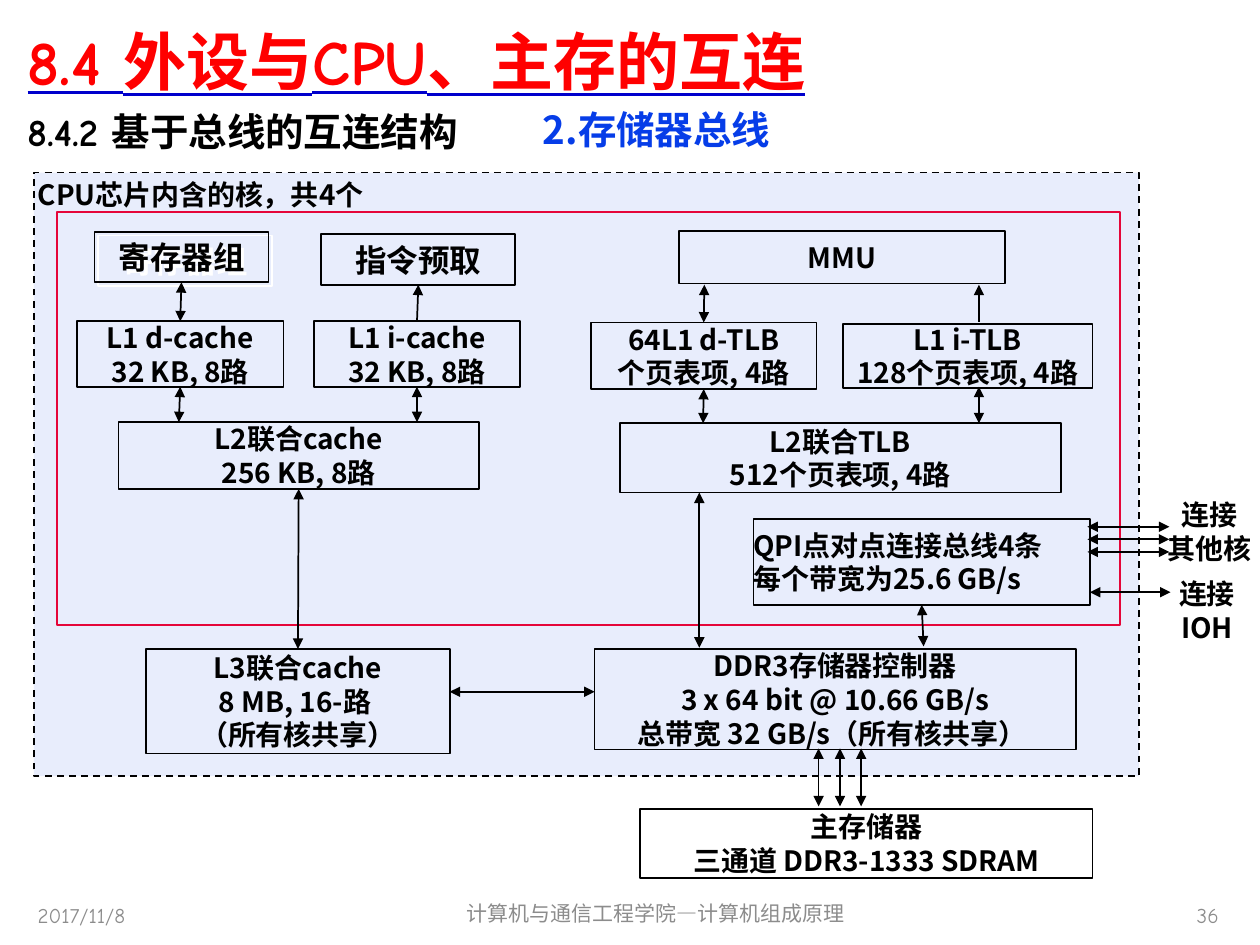
from dataclasses import dataclass
from typing import NamedTuple, Optional

from lxml.etree import SubElement
from pptx import Presentation
from pptx.dml.color import RGBColor
from pptx.enum.dml import MSO_LINE
from pptx.enum.shapes import MSO_CONNECTOR, MSO_SHAPE
from pptx.enum.text import MSO_ANCHOR, PP_ALIGN
from pptx.oxml import parse_xml
from pptx.oxml.ns import qn
from pptx.util import Pt


@dataclass(frozen=True)
class Theme:
    title_font: str = "Comic Neue"
    body_font: str = "Noto Sans CJK SC"
    black: str = "000000"
    red: str = "FF0000"
    frame: str = "FC0128"
    blue: str = "063DE8"
    underline: str = "0000CC"
    grey: str = "8C8C8C"
    white: str = "FFFFFF"
    title_size: int = 36
    heading_size: int = 22
    large_size: int = 18
    box_size: int = 16
    footer_size: int = 12


THEME = Theme()
TOP, BOTTOM = 0, 2
DRAWING = "http://schemas.openxmlformats.org/drawingml/2006/main"


class Area(NamedTuple):
    left: float
    top: float
    width: float
    height: float


class Block(NamedTuple):
    name: str
    area: Area
    text: str
    size: int = THEME.box_size
    align: PP_ALIGN = PP_ALIGN.CENTER


class Label(NamedTuple):
    text: str
    area: Area
    size: int
    color: str = THEME.black
    font: str = THEME.body_font
    bold: bool = True
    align: PP_ALIGN = PP_ALIGN.LEFT
    anchor: MSO_ANCHOR = MSO_ANCHOR.TOP
    side_inset: float = 7.2


class Arrow(NamedTuple):
    start: tuple[float, float]
    end: tuple[float, float]
    start_block: Optional[str] = None  # joined at its bottom
    end_block: Optional[str] = None  # joined at its top
    both_ways: bool = True


BLOCKS = [
    Block("registers", Area(54, 132.5, 99.4, 28.8), "寄存器组", THEME.large_size),
    Block("prefetch", Area(183.6, 133.9, 110.9, 28.8), "指令预取", THEME.large_size),
    Block("mmu", Area(388, 131.8, 186.5, 30.2), "MMU"),
    Block("l1_data", Area(44, 183.6, 118, 37.4), "L1 d-cache\n32 KB, 8路"),
    Block("l1_code", Area(179.3, 183.6, 118, 37.4), "L1 i-cache\n32 KB, 8路"),
    Block("tlb_data", Area(337.7, 184.3, 128.9, 38), "64L1 d-TLB\n个页表项, 4路"),
    Block("tlb_code", Area(481.7, 185, 142.6, 36.7), "L1 i-TLB\n128个页表项, 4路"),
    Block("l2_cache", Area(67.7, 241.2, 206, 38.2), "L2联合cache\n256 KB, 8路"),
    Block("l2_tlb", Area(354.2, 241.9, 252, 39.6), "L2联合TLB\n512个页表项, 4路"),
    Block("qpi", Area(430.6, 296.6, 192.2, 49), "QPI点对点连接总线4条\n每个带宽为25.6 GB/s",
          align=PP_ALIGN.LEFT),
    Block("l3_cache", Area(83.5, 370.8, 173.5, 59.8), "L3联合cache\n8 MB, 16-路 \n（所有核共享）"),
    Block("ddr3", Area(339.8, 370.8, 275, 57.6),
          "DDR3存储器控制器\n3 x 64 bit @ 10.66 GB/s\n总带宽 32 GB/s（所有核共享） "),
    Block("memory", Area(365.8, 462.2, 258.5, 39.6), "主存储器\n三通道 DDR3-1333 SDRAM"),
]

FOOTER = dict(size=THEME.footer_size, color=THEME.grey, font=THEME.title_font,
              bold=False, anchor=MSO_ANCHOR.MIDDLE)
SIDE_NOTE = dict(size=THEME.box_size, align=PP_ALIGN.CENTER, side_inset=0)
LABELS = [
    Label("8.4.2 基于总线的互连结构", Area(8.6, 58.3, 290, 40), THEME.heading_size,
          font=THEME.title_font),
    Label("2.存储器总线", Area(303.1, 56.9, 231.8, 33.8), THEME.heading_size, THEME.blue),
    Label("CPU芯片内含的核，共4个", Area(21.6, 97.9, 224, 18.7), THEME.box_size, side_inset=0),
    Label("连接\n其他核", Area(665.3, 280.8, 51.8, 41.8), **SIDE_NOTE),
    Label("连接\nIOH", Area(667.4, 326.2, 44.6, 38.2), **SIDE_NOTE),
    Label("2017/11/8", Area(14.4, 508.3, 167.8, 28.8), **FOOTER),
    Label("计算机与通信工程学院—计算机组成原理", Area(241.2, 507.6, 267.1, 28.8),
          align=PP_ALIGN.CENTER, **FOOTER),
    Label("36", Area(535.7, 508.3, 167.8, 28.8), align=PP_ALIGN.RIGHT, **FOOTER),
]

ARROWS = [
    Arrow((103.7, 161.3), (103, 183.6), "registers", "l1_data"),
    Arrow((239, 162.7), (238.3, 183.6), "prefetch", "l1_code", both_ways=False),
    Arrow((402.5, 162.7), (402.5, 184.3), end_block="tlb_data"),
    Arrow((559.4, 162.7), (559.4, 184.3), both_ways=False),
    Arrow((103, 221), (102.2, 241.2), "l1_data"),
    Arrow((238.3, 221), (238.3, 241.2), "l1_code"),
    Arrow((402.2, 222.3), (401.8, 241.9), "tlb_data"),
    Arrow((559.4, 221), (559.4, 241.9)),
    Arrow((170.7, 279.4), (170.2, 370.8), "l2_cache", "l3_cache"),
    Arrow((399.6, 281.5), (399.6, 370.1)),
    Arrow((526.7, 345.6), (527.8, 369.4), "qpi"),
    Arrow((257, 395.3), (339.8, 395.3)),
    # Three memory channels, three links to other cores, one link to the IOH
    *[Arrow((x, 427.7), (x, 460.8)) for x in (467.8, 480, 492.1)],
    *[Arrow((668.2, 301 + 7.2 * row), (621.4, 301 + 7.2 * row)) for row in range(3)],
    Arrow((668.9, 338.4), (622.8, 338.4)),
]


def color_of(value: str) -> RGBColor:
    return RGBColor.from_string(value)


def write_text(shape, text: str, size: int, color: str, font: str, bold: bool,
               align: PP_ALIGN, anchor: MSO_ANCHOR, side_inset: float = 7.2) -> None:
    frame = shape.text_frame
    frame.text = text
    frame.word_wrap = True
    frame.vertical_anchor = anchor
    frame.margin_left = frame.margin_right = Pt(side_inset)
    for paragraph in frame.paragraphs:
        paragraph.alignment = align
        for run in paragraph.runs:
            run.font.size = Pt(size)
            run.font.bold = bold
            run.font.name = font
            run.font.color.rgb = color_of(color)
            east_asian = SubElement(run.font._element, qn("a:ea"))
            east_asian.set("typeface", THEME.body_font)


def add_box(slide, area: Area, line_color: str):
    shape = slide.shapes.add_shape(MSO_SHAPE.RECTANGLE, *map(Pt, area))
    shape.shadow.inherit = False
    shape.fill.background()
    shape.line.color.rgb = color_of(line_color)
    shape.line.width = Pt(1)
    return shape


def add_block(slide, block: Block):
    shape = add_box(slide, block.area, THEME.black)
    write_text(shape, block.text, block.size, THEME.black, THEME.body_font, True,
               block.align, MSO_ANCHOR.MIDDLE, 0)
    return shape


def add_label(slide, label: Label) -> None:
    shape = slide.shapes.add_textbox(*map(Pt, label.area))
    write_text(shape, label.text, label.size, label.color, label.font, label.bold,
               label.align, label.anchor, label.side_inset)


def add_arrow(slide, arrow: Arrow, blocks: dict) -> None:
    connector = slide.shapes.add_connector(
        MSO_CONNECTOR.STRAIGHT, *map(Pt, arrow.start + arrow.end))
    if arrow.start_block:
        connector.begin_connect(blocks[arrow.start_block], BOTTOM)
    if arrow.end_block:
        connector.end_connect(blocks[arrow.end_block], TOP)
    connector.line.color.rgb = color_of(THEME.black)
    connector.line.width = Pt(1)
    line = connector.line._get_or_add_ln()
    for end in ("a:headEnd", "a:tailEnd") if arrow.both_ways else ("a:headEnd",):
        SubElement(line, qn(end)).set("type", "triangle")
    SubElement(connector._element.spPr, qn("a:effectLst"))


def add_title(slide) -> None:
    title = slide.shapes.title
    title.left, title.top, title.width, title.height = map(Pt, (8.6, 3.6, 697.7, 61.2))
    write_text(title, "8.4 外设与CPU、主存的互连", THEME.title_size, THEME.red,
               THEME.title_font, True, PP_ALIGN.LEFT, MSO_ANCHOR.MIDDLE)
    font = title.text_frame.paragraphs[0].runs[0].font
    font.underline = True
    # The underline has its own colour
    font._element.find(qn("a:solidFill")).addnext(parse_xml(
        f'<a:uFill xmlns:a="{DRAWING}"><a:solidFill>'
        f'<a:srgbClr val="{THEME.underline}"/></a:solidFill></a:uFill>'))


def add_frames(slide) -> None:
    add_box(slide, Area(32.4, 121, 607.7, 236.2), THEME.frame)
    chip = add_box(slide, Area(19.4, 98.6, 631.4, 344.9), THEME.black)
    chip.line.dash_style = MSO_LINE.DASH
    chip.fill.solid()
    chip.fill.fore_color.rgb = color_of(THEME.blue)
    fill_color = chip._element.spPr.find(qn("a:solidFill"))[0]
    SubElement(fill_color, qn("a:alpha")).set("val", "9000")


def add_white_shadow(shape) -> None:
    effects = shape._element.spPr.find(qn("a:effectLst"))
    shadow = SubElement(effects, qn("a:outerShdw"), dist=str(Pt(3)), dir="2700000")
    SubElement(shadow, qn("a:srgbClr")).set("val", THEME.white)


def main() -> None:
    presentation = Presentation()
    presentation.slide_width, presentation.slide_height = Pt(720), Pt(540)
    slide = presentation.slides.add_slide(presentation.slide_layouts[5])
    add_title(slide)
    add_frames(slide)
    blocks = {block.name: add_block(slide, block) for block in BLOCKS}
    add_white_shadow(blocks["registers"])
    for label in LABELS:
        add_label(slide, label)
    for arrow in ARROWS:
        add_arrow(slide, arrow, blocks)
    presentation.save("out.pptx")


if __name__ == "__main__":
    main()
